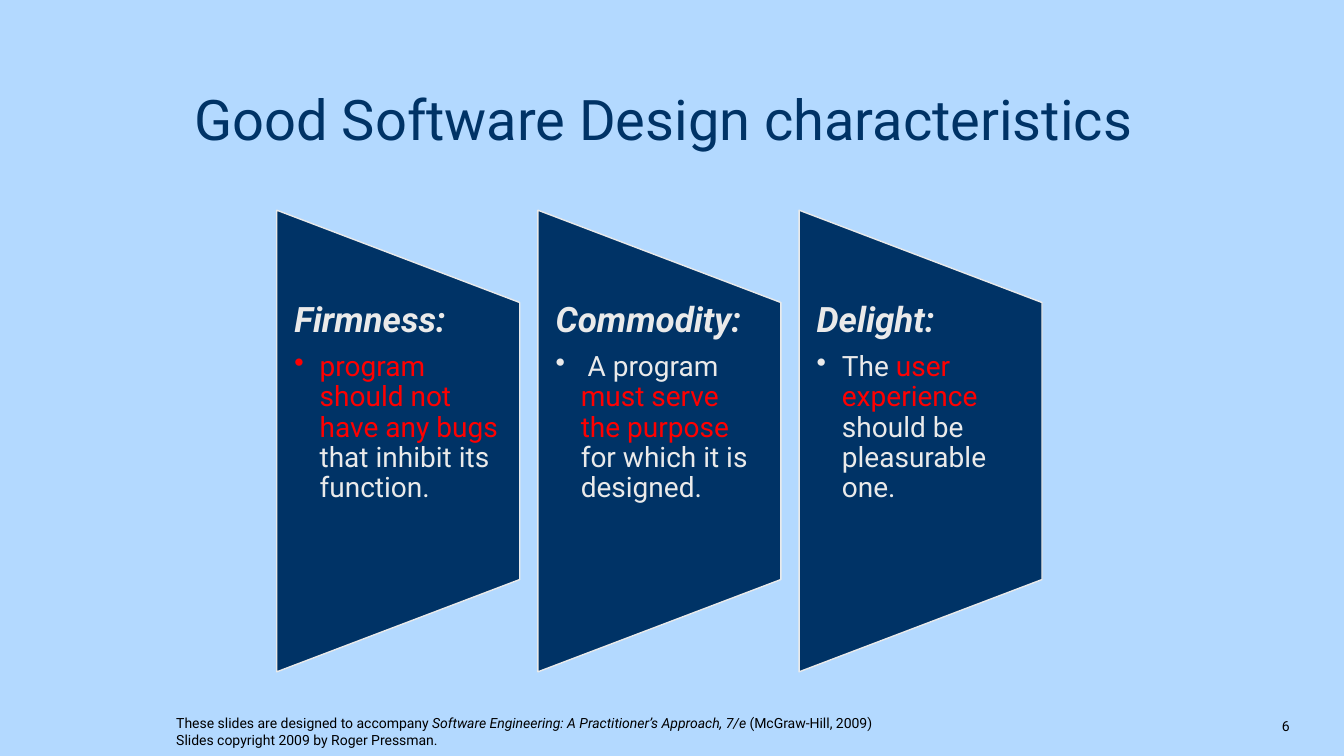
from lxml.etree import SubElement
from pptx import Presentation
from pptx.dml.color import RGBColor
from pptx.enum.shapes import MSO_SHAPE as Shape
from pptx.enum.text import MSO_ANCHOR as Anchor, MSO_AUTO_SIZE as AutoSize, PP_ALIGN as Align
from pptx.oxml.ns import qn
from pptx.util import Pt

PX = 9144
NAVY = RGBColor(0x00, 0x33, 0x66)
PALE = RGBColor(0xEA, 0xEA, 0xEA)
RED = RGBColor(0xFF, 0x00, 0x00)
BLACK = RGBColor(0x00, 0x00, 0x00)
SKY = RGBColor(0xB3, 0xD9, 0xFF)

PANEL_LEFT, PANEL_TOP, PANEL_PITCH = 275, 300, 259
PANEL_WIDTH, PANEL_TEXT_HEIGHT, PANEL_HEIGHT = 241, 275, 458
PANEL_INSET, BULLET_INDENT = 17, 25

PANELS = [
    ("Firmness:", [("program should not have any bugs ", RED),
                   ("that inhibit its function.", PALE)]),
    ("Commodity:", [(" A program ", PALE),
                    ("must serve the purpose ", RED),
                    ("for which it is designed.", PALE)]),
    ("Delight:", [("The ", PALE),
                  ("user experience ", RED),
                  ("should be pleasurable one.", PALE)]),
]

FOOTER = [
    ("These slides are designed to accompany ", False),
    ("Software Engineering: A Practitioner’s Approach, 7/e ", True),
    ("(McGraw-Hill, 2009) Slides copyright 2009 by Roger Pressman.", False),
]


class SlideBuilder:
    font_name = "Roboto"

    def __init__(self, slide):
        self.slide = slide

    def lengths(self, *pixels):
        return [value * PX for value in pixels]

    def background(self, color):
        fill = self.slide.background.fill
        fill.solid()
        fill.fore_color.rgb = color

    def span(self, para, text, size, color, bold=False, italic=False):
        span = para.add_run()
        span.text = text
        font = span.font
        font.name, font.size = self.font_name, Pt(size)
        font.bold, font.italic = bold, italic
        font.color.rgb = color

    def title(self, text, left, top, width, height):
        box = self.slide.shapes.title
        box.left, box.top, box.width, box.height = self.lengths(left, top, width, height)
        frame = box.text_frame
        frame.auto_size = AutoSize.NONE
        frame.vertical_anchor = Anchor.MIDDLE
        para = frame.paragraphs[0]
        para.alignment = Align.LEFT
        self.span(para, text, 40, NAVY)

    def text_box(self, left, top, width, height, anchor=Anchor.TOP):
        box = self.slide.shapes.add_textbox(*self.lengths(left, top, width, height))
        frame = box.text_frame
        frame.word_wrap = True
        frame.vertical_anchor = anchor
        return frame

    def small_print(self, spans, left, top, width, height, align=Align.LEFT):
        para = self.text_box(left, top, width, height, Anchor.BOTTOM).paragraphs[0]
        para.alignment = align
        for text, italic in spans:
            self.span(para, text, 10, BLACK, italic=italic)

    def bullet(self, para):
        para.level = 1
        properties = para._p.get_or_add_pPr()
        properties.set("marL", str(BULLET_INDENT * PX))
        properties.set("indent", str(-BULLET_INDENT * PX))
        SubElement(properties, qn("a:buChar")).set("char", "•")

    def trapezoid(self, left):
        middle = PANEL_TOP + PANEL_TEXT_HEIGHT // 2
        shape = self.slide.shapes.add_shape(
            Shape.FLOWCHART_MANUAL_OPERATION,
            *self.lengths(left + (PANEL_WIDTH - PANEL_HEIGHT) // 2,
                          middle - PANEL_WIDTH // 2, PANEL_HEIGHT, PANEL_WIDTH))
        shape.rotation = 270
        shape.shadow.inherit = False
        shape.fill.solid()
        shape.fill.fore_color.rgb = NAVY
        shape.line.color.rgb = PALE
        shape.line.width = Pt(1)

    def panel(self, left, heading, spans):
        self.trapezoid(left)
        frame = self.text_box(left, PANEL_TOP, PANEL_WIDTH, PANEL_TEXT_HEIGHT)
        frame.margin_left = frame.margin_right = PANEL_INSET * PX
        frame.margin_top = frame.margin_bottom = 0
        para = frame.paragraphs[0]
        para.line_spacing = 0.9
        para.space_after = Pt(8.75)
        self.span(para, heading, 25, PALE, bold=True, italic=True)
        para = frame.add_paragraph()
        self.bullet(para)
        para.line_spacing = 0.9
        for text, color in spans:
            self.span(para, text, 20, color)


def main():
    deck = Presentation()
    deck.slide_width, deck.slide_height = 1333 * PX, 750 * PX
    page = SlideBuilder(deck.slides.add_slide(deck.slide_layouts[5]))
    page.background(SKY)
    page.title("Good Software Design characteristics", 183, 83, 983, 69)
    for index, (heading, spans) in enumerate(PANELS):
        page.panel(PANEL_LEFT + index * PANEL_PITCH, heading, spans)
    page.small_print(FOOTER, 165, 697, 744, 50)
    page.small_print([("6", False)], 1100, 683, 189, 50, Align.RIGHT)
    deck.save("out.pptx")


if __name__ == "__main__":
    main()
